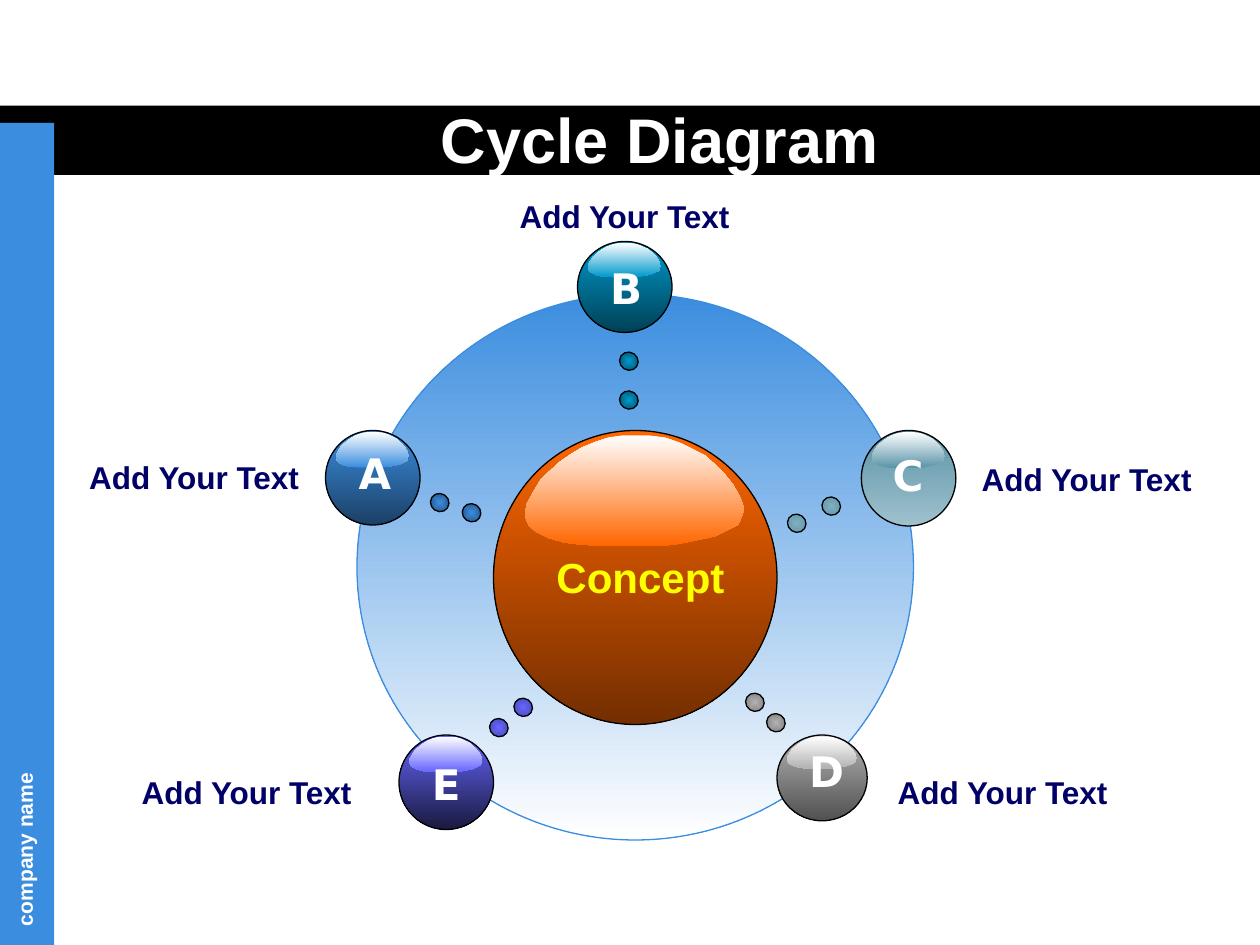
from pptx import Presentation
from pptx.dml.color import RGBColor
from pptx.enum.shapes import MSO_SHAPE as SHAPE
from pptx.enum.text import MSO_ANCHOR as ANCHOR, PP_ALIGN as ALIGN
from pptx.oxml import parse_xml
from pptx.oxml.ns import nsdecls, qn
from pptx.util import Pt

WHITE = RGBColor(0xFF, 0xFF, 0xFF)
BLACK = RGBColor(0x00, 0x00, 0x00)
BLUE = RGBColor(0x3B, 0x8D, 0xDF)
NAVY = RGBColor(0x00, 0x00, 0x66)
YELLOW = RGBColor(0xFF, 0xFF, 0x00)
ORANGE = RGBColor(0xFF, 0x66, 0x00)
BROWN = RGBColor(0x74, 0x2E, 0x00)
TEAL = RGBColor(0x00, 0x99, 0xCC)
DARK_TEAL = RGBColor(0x00, 0x41, 0x56)
DOT_TEAL = RGBColor(0x00, 0x48, 0x60)
VIOLET = RGBColor(0x66, 0x66, 0xFF)
DARK_VIOLET = RGBColor(0x19, 0x19, 0x3E)
DOT_VIOLET = RGBColor(0x44, 0x44, 0xAA)
SAGE = RGBColor(0x5A, 0x94, 0xA8)
LIGHT_SAGE = RGBColor(0xA0, 0xC1, 0xCD)
DOT_SAGE = RGBColor(0x82, 0xAE, 0xBD)
GRAY = RGBColor(0xB2, 0xB2, 0xB2)
DARK_GRAY = RGBColor(0x51, 0x51, 0x51)
DOT_GRAY = RGBColor(0x77, 0x77, 0x77)
DARK_BLUE = RGBColor(0x1B, 0x40, 0x65)
DOT_BLUE = RGBColor(0x20, 0x4B, 0x77)

GLOSS = [
    (98, 56), (99, 61), (100, 67), (99, 72), (98, 77), (97, 81), (94, 84),
    (91, 87), (87, 91), (83, 93), (78, 95), (73, 97), (68, 99), (60, 100),
    (36, 100), (26, 99), (18, 97), (11, 93), (5, 87), (2, 82), (0, 73),
    (1, 62), (4, 51), (7, 41), (11, 33), (16, 24), (21, 17), (26, 11),
    (32, 6), (38, 2), (44, 0), (51, 0), (57, 0), (64, 2), (71, 7), (76, 12),
    (82, 18), (87, 27), (91, 35), (95, 45),
]

prs = Presentation()
prs.slide_width, prs.slide_height = Pt(720), Pt(540)
slide = prs.slides.add_slide(prs.slide_layouts[6])
shapes = slide.shapes


def paint(s, start, end, line=None):
    s.shadow.inherit = False
    s.fill.gradient()
    s.fill.gradient_angle = 270
    for stop, color in zip(s.fill.gradient_stops, (start, end)):
        stop.color.rgb = color
    if line is None:
        s.line.fill.background()
    else:
        s.line.color.rgb = line
        s.line.width = Pt(0.75)


def add_text(text, x, y, w, h, size, color, font="Arial", align=ALIGN.CENTER, wrap=True):
    s = shapes.add_textbox(Pt(x), Pt(y), Pt(w), Pt(h))
    tf = s.text_frame
    tf.word_wrap = wrap
    p = tf.paragraphs[0]
    p.text = text
    p.alignment = align
    p.font.name, p.font.size, p.font.bold = font, Pt(size), True
    p.font.color.rgb = color
    return s


for x, y, w, h, color in [(0, 60.3, 720, 39.6, BLACK), (0, 70.3, 31, 469.7, BLUE)]:
    s = shapes.add_shape(SHAPE.RECTANGLE, Pt(x), Pt(y), Pt(w), Pt(h))
    s.shadow.inherit = False
    s.fill.solid()
    s.fill.fore_color.rgb = color
    s.line.fill.background()

s = add_text("company name", -109.4, 401.8, 247, 21.8, 12, WHITE, align=ALIGN.LEFT)
s.rotation = 270
s = add_text(" Cycle Diagram", 24, 60, 696, 38, 36, WHITE)
s.text_frame.vertical_anchor = ANCHOR.MIDDLE

s = shapes.add_shape(SHAPE.OVAL, Pt(204), Pt(168), Pt(318), Pt(312))
paint(s, BLUE, WHITE, BLUE)

balls = [
    (282, 246, 162, 168, ORANGE, BROWN),
    (330, 138, 54, 52, TEAL, DARK_TEAL),
    (228, 420, 54, 54, VIOLET, DARK_VIOLET),
    (492.2, 246, 54, 54.6, SAGE, LIGHT_SAGE),
    (444, 420, 51.6, 49, GRAY, DARK_GRAY),
    (186, 246, 54, 54, BLUE, DARK_BLUE),
]
for x, y, w, h, start, end in balls:
    s = shapes.add_shape(SHAPE.OVAL, Pt(x), Pt(y), Pt(w), Pt(h))
    paint(s, start, end, BLACK)
    fb = shapes.build_freeform(*GLOSS[0], scale=(Pt(w) * 0.00775, Pt(h) * 0.00375))
    fb.add_line_segments(GLOSS[1:], close=True)
    s = fb.convert_to_shape(Pt(x + 0.11 * w), Pt(y + 0.017 * h))
    paint(s, WHITE, start)

add_text("Concept", 301, 311.8, 130, 36, 24, YELLOW, wrap=False)
for letter, x, y in [("A", 214.2, 252), ("B", 357.8, 146.2), ("C", 518.8, 253.4),
                     ("D", 472.3, 422.6), ("E", 254.9, 429.8)]:
    add_text(letter, x - 20, y, 40, 36, 24, WHITE, font="DejaVu Sans", wrap=False)

dots = [
    (VIOLET, DOT_VIOLET, [(280, 410.4), (293.9, 398.8)]),
    (GRAY, DOT_GRAY, [(438.3, 407.6), (426.3, 395.9)]),
    (BLUE, DOT_BLUE, [(246.2, 281.8), (264.4, 287.6)]),
    (TEAL, DOT_TEAL, [(354.3, 201), (354.3, 223.2)]),
    (DOT_SAGE, SAGE, [(469.9, 283.8), (450.2, 293.6)]),
]
for start, end, places in dots:
    for x, y in places:
        s = shapes.add_shape(SHAPE.OVAL, Pt(x), Pt(y), Pt(10.2), Pt(10.8))
        s.rotation = 303.8
        paint(s, start, end, BLACK)
        lin = s._element.spPr.find(qn("a:gradFill")).find(qn("a:lin"))
        lin.getparent().replace(lin, parse_xml(
            f'<a:path {nsdecls("a")} path="rect"><a:fillToRect l="50000" t="50000" '
            'r="50000" b="50000"/></a:path>'))

for x, y in [(36, 258), (282, 109.2), (546, 259.2), (66, 438), (498, 438)]:
    add_text("Add Your Text", x, y, 150, 28.8, 18, NAVY)

prs.save("out.pptx")
